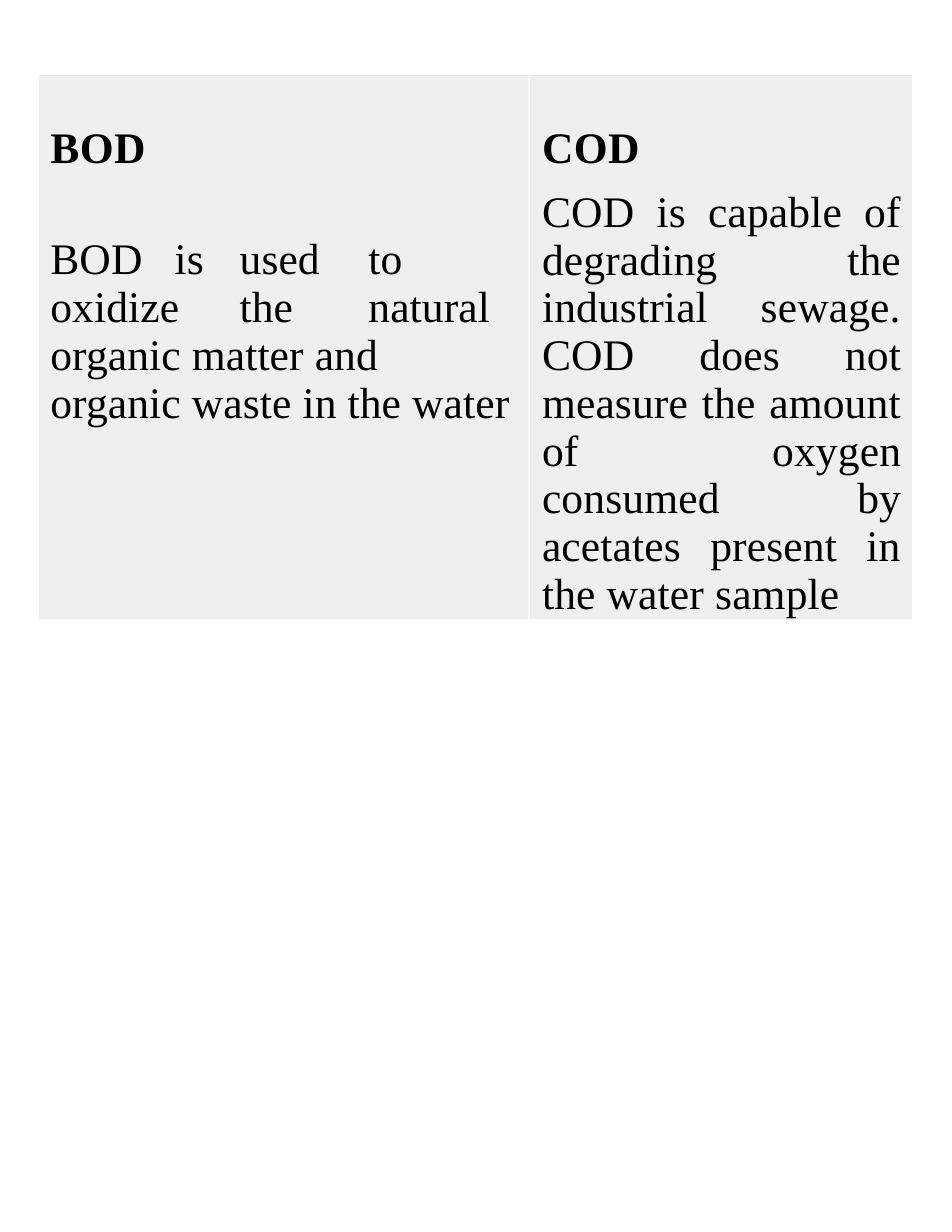
from lxml.etree import SubElement
from pptx import Presentation
from pptx.dml.color import RGBColor as Rgb
from pptx.enum.text import PP_ALIGN as Align
from pptx.oxml.ns import qn
from pptx.util import Inches, Pt


def color(value):
    return Rgb.from_string(value)


def add_border(cell, side, value, width):
    line = SubElement(cell._tc.get_or_add_tcPr(), qn(f"a:ln{side}"), w=str(Pt(width)))
    SubElement(SubElement(line, qn("a:solidFill")), qn("a:srgbClr"), val=value)


deck = Presentation()
deck.slide_width, deck.slide_height = Inches(8.5), Inches(11)
page = deck.slides.add_slide(deck.slide_layouts[6])

columns = [4.39, 3.44]
rows = [0.87, 3.98]
frame = page.shapes.add_table(
    len(rows), len(columns), Inches(0.33), Inches(0.67),
    Inches(sum(columns)), Inches(sum(rows)))
table = frame.table
table._tbl.tblPr.find(qn("a:tableStyleId")).text = "{2D5ABB26-0587-4C30-8999-92F81FD0307C}"
for column, width in zip(table.columns, columns):
    column.width = Inches(width)
for row, height in zip(table.rows, rows):
    row.height = Inches(height)

bod_use = ("BOD\tis\tused\tto\toxidize\tthe\tnatural "
           "organic matter and organic waste in the water")
cod_use = ("COD is capable of degrading the industrial sewage. "
           "COD does not measure the amount of oxygen consumed by "
           "acetates present in the water sample")
bod_tabs = [0.74, 1.11, 1.69, 2.09, 2.84, 3.31]

entries = [
    (0, 0, "BOD", 0.44, 30, {}),
    (0, 1, "COD", 0.44, 30, {}),
    (1, 0, bod_use, 0.56, 10, {}),
    (1, 1, cod_use, 0.15, 15, {"alignment": Align.JUSTIFY, "line_spacing": 0.99}),
]

for row, column, text, top, tracking, layout in entries:
    cell = table.cell(row, column)
    add_border(cell, "L", "FFFFFF", 1.5 if column else 3)
    add_border(cell, "R", "FFFFFF", 3 if column else 1.5)
    if row == 0:
        add_border(cell, "T", "E3E6E6", 0.75)
    cell.fill.solid()
    cell.fill.fore_color.rgb = color("EFEFEF")
    margins = {"margin_left": 0.12, "margin_right": 0.11, "margin_top": top, "margin_bottom": 0}
    for name, value in margins.items():
        setattr(cell, name, Inches(value))

    para = cell.text_frame.paragraphs[0]
    for name, value in layout.items():
        setattr(para, name, value)
    if "\t" in text:
        tabs = SubElement(para._p.get_or_add_pPr(), qn("a:tabLst"))
        for stop in bod_tabs:
            SubElement(tabs, qn("a:tab"), pos=str(Inches(stop)), algn="l")
    span = para.add_run()
    span.text = text
    font = {"name": "Times New Roman", "size": Pt(28), "bold": row == 0}
    for name, value in font.items():
        setattr(span.font, name, value)
    span.font.color.rgb = color("000000")
    span.font._element.set("spc", str(tracking))

deck.save("out.pptx")
